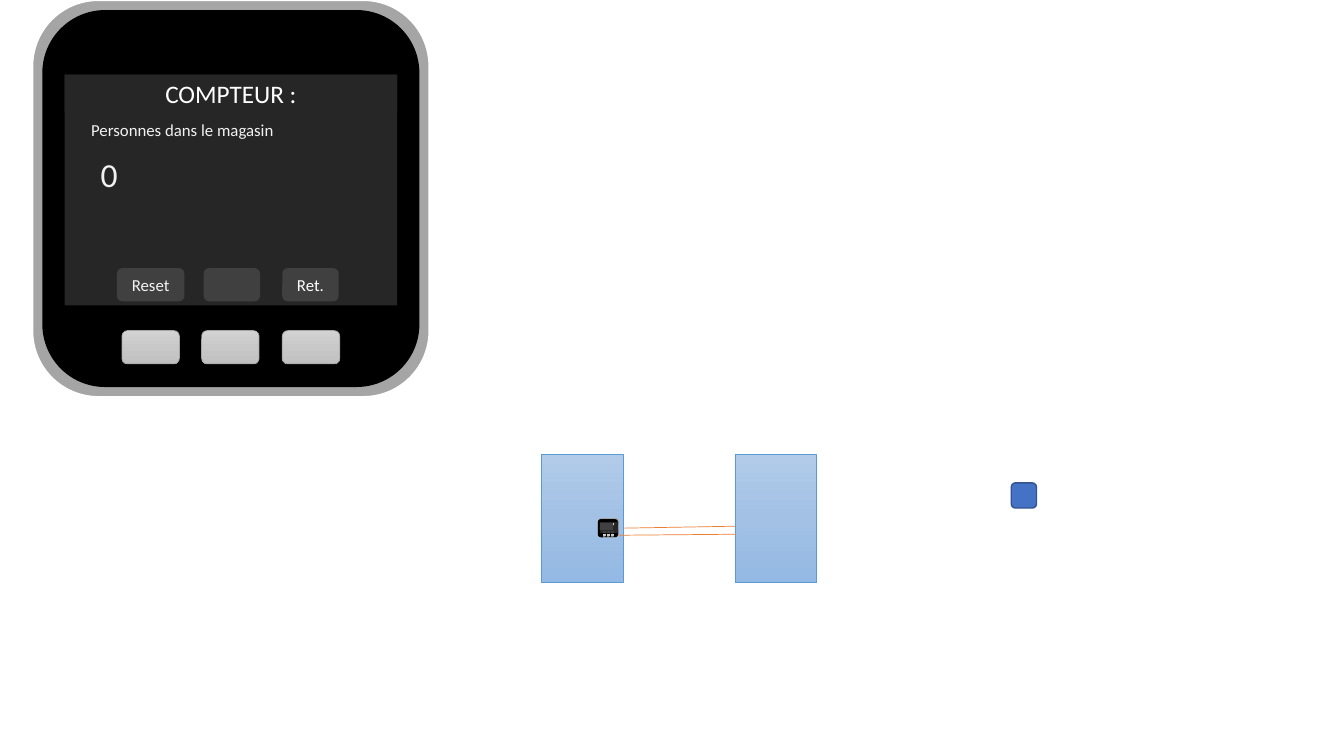
"""Build the slide of a shop people counter and its pair of linked doors."""
import copy
from dataclasses import dataclass
from typing import Any

import pptx
import pptx.dml.color
import pptx.enum.shapes
import pptx.enum.text
import pptx.oxml.ns
import pptx.util

Inches = pptx.util.Inches
RECT = pptx.enum.shapes.MSO_SHAPE.RECTANGLE
ROUND = pptx.enum.shapes.MSO_SHAPE.ROUNDED_RECTANGLE
LEFT = pptx.enum.text.PP_ALIGN.LEFT
CENTER = pptx.enum.text.PP_ALIGN.CENTER

COLORS = {
    "case": "A5A5A5", "black": "000000", "white": "FFFFFF",
    "screen": "262626", "key": "404040", "pale": "F2F2F2",
    "silver_top": "D2D2D2", "silver_mid": "C8C8C8", "silver_end": "C0C0C0",
    "door_top": "B1CBE9", "door_mid": "A3C1E5", "door_end": "93B9E4",
    "door_edge": "5B9BD5", "tag": "4472C4", "tag_edge": "325491",
    "beam": "ED7D31",
}
SILVER = ("silver_top", "silver_mid", "silver_end")
DOOR = ("door_top", "door_mid", "door_end")


@dataclass(frozen=True)
class Label:
    """Text shown inside a part."""
    text: str
    size: int
    color: str = "pale"
    align: Any = CENTER


@dataclass(frozen=True)
class Part:
    """A filled shape; one fill name is solid, three make a gradient."""
    left: float
    top: float
    width: float
    height: float
    fill: tuple[str, ...]
    kind: Any = ROUND
    edge: str = ""
    edge_pt: float = 0.5
    label: Label | None = None


@dataclass(frozen=True)
class Beam:
    """A straight line between the doors."""
    x1: float
    y1: float
    x2: float
    y2: float


COUNTER_CASE = [
    Part(0.32, 0, 3.94, 3.94, ("case",), edge="white", edge_pt=1.5),
    Part(0.42, 0.1, 3.74, 3.74, ("black",)),
    *(Part(x, 3.28, 0.57, 0.33, SILVER, edge="case") for x in (2.8, 2, 1.21)),
    Part(0.64, 0.74, 3.3, 2.29, ("screen",), RECT),
]
COUNTER_SCREEN = [
    Part(0.64, 0.74, 3.3, 0.37, ("screen",), RECT,
         label=Label("COMPTEUR :", 18, "white")),
    Part(1.16, 2.66, 0.67, 0.33, ("key",), label=Label("Reset", 12)),
    Part(2.02, 2.66, 0.56, 0.33, ("key",)),
    Part(2.8, 2.66, 0.56, 0.33, ("key",), label=Label("Ret.", 12, "white")),
    Part(0.79, 1.12, 2.5, 0.33, ("screen",),
         label=Label("Personnes dans le magasin", 12, align=LEFT)),
    Part(0.88, 1.49, 0.39, 0.47, ("screen",), label=Label("0", 24, align=LEFT)),
    Part(1.91, 1.47, 0.67, 0.47, ("screen",)),
]
DOORS = [Part(x, 4.51, 0.81, 1.27, DOOR, RECT, "door_edge") for x in (5.37, 7.29)]
TAG = Part(10.03, 4.79, 0.25, 0.25, ("tag",), edge="tag_edge", edge_pt=1)
MINI_KEYS = (5.98, 6.02, 6.06)
MINI_COUNTER = [
    Part(5.93, 5.14, 0.21, 0.19, ("case",)),
    Part(5.93, 5.15, 0.2, 0.18, ("black",)),
    *(Part(x, 5.3, 0.03, 0.02, SILVER) for x in reversed(MINI_KEYS)),
    Part(5.95, 5.18, 0.18, 0.11, ("screen",), RECT),
    Part(5.95, 5.18, 0.18, 0.02, ("screen",), RECT),
    Part(5.95, 5.19, 0.14, 0.02, SILVER),
    *(Part(5.95, y, 0.13, 0.02, ("key",)) for y in (5.21, 5.19, 5.23, 5.24)),
    *(Part(x, 5.27, 0.03, 0.02, ("key",)) for x in MINI_KEYS),
]
BACK_BEAM = Beam(6.17, 5.24, 7.33, 5.22)
FRONT_BEAM = Beam(6.14, 5.31, 7.3, 5.3)


def rgb(name: str) -> pptx.dml.color.RGBColor:
    """Return the named colour."""
    return pptx.dml.color.RGBColor.from_string(COLORS[name])


def paint(sp: Any, names: tuple[str, ...]) -> None:
    """Fill a shape with one colour or a downward gradient."""
    if len(names) == 1:
        sp.fill.solid()
        sp.fill.fore_color.rgb = rgb(names[0])
        return
    sp.fill.gradient()
    sp.fill.gradient_angle = 270
    stops = sp._element.spPr.find(".//" + pptx.oxml.ns.qn("a:gsLst"))
    stops.append(copy.deepcopy(stops[0]))
    for i, (stop, name) in enumerate(zip(sp.fill.gradient_stops, names)):
        stop.position = i / 2
        stop.color.rgb = rgb(name)


def write(sp: Any, label: Label) -> None:
    """Put a label in a shape."""
    tf = sp.text_frame
    tf.vertical_anchor = pptx.enum.text.MSO_ANCHOR.MIDDLE
    p = tf.paragraphs[0]
    p.alignment = label.align
    r = p.add_run()
    r.text = label.text
    r.font.name = "Calibri"
    r.font.size = pptx.util.Pt(label.size)
    r.font.color.rgb = rgb(label.color)


def draw_parts(shapes: Any, parts: list[Part]) -> None:
    """Draw parts from back to front."""
    for part in parts:
        sp = shapes.add_shape(part.kind, Inches(part.left), Inches(part.top),
                              Inches(part.width), Inches(part.height))
        sp.shadow.inherit = False
        paint(sp, part.fill)
        if part.edge:
            sp.line.color.rgb = rgb(part.edge)
            sp.line.width = pptx.util.Pt(part.edge_pt)
        else:
            sp.line.fill.background()
        if part.label:
            write(sp, part.label)


def draw_beam(shapes: Any, beam: Beam) -> None:
    """Draw a thin straight line."""
    line = shapes.add_connector(
        pptx.enum.shapes.MSO_CONNECTOR.STRAIGHT, Inches(beam.x1),
        Inches(beam.y1), Inches(beam.x2), Inches(beam.y2))
    line.line.color.rgb = rgb("beam")
    line.line.width = pptx.util.Pt(0.5)
    spPr = line._element.spPr
    spPr.append(pptx.oxml.parse_xml(
        f"<a:effectLst {pptx.oxml.ns.nsdecls('a')}/>"))


def main() -> None:
    """Draw the slide and save it."""
    prs = pptx.Presentation()
    prs.slide_width, prs.slide_height = Inches(13.33), Inches(7.5)
    s = prs.slides.add_slide(prs.slide_layouts[6])
    draw_parts(s.shapes.add_group_shape().shapes, COUNTER_CASE)
    draw_parts(s.shapes, COUNTER_SCREEN)
    draw_beam(s.shapes, BACK_BEAM)
    draw_parts(s.shapes, [*DOORS, TAG])
    draw_parts(s.shapes.add_group_shape().shapes, MINI_COUNTER)
    draw_beam(s.shapes, FRONT_BEAM)
    prs.save("out.pptx")


if __name__ == "__main__":
    main()
